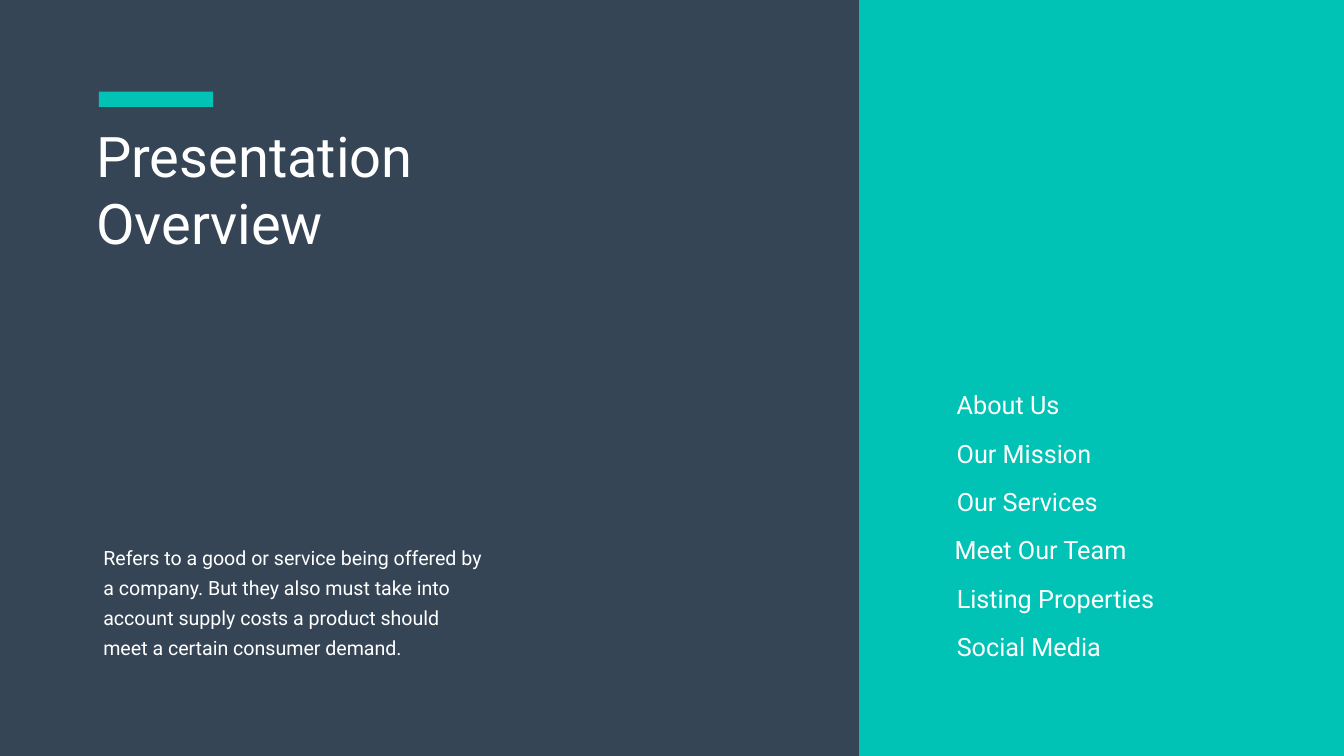
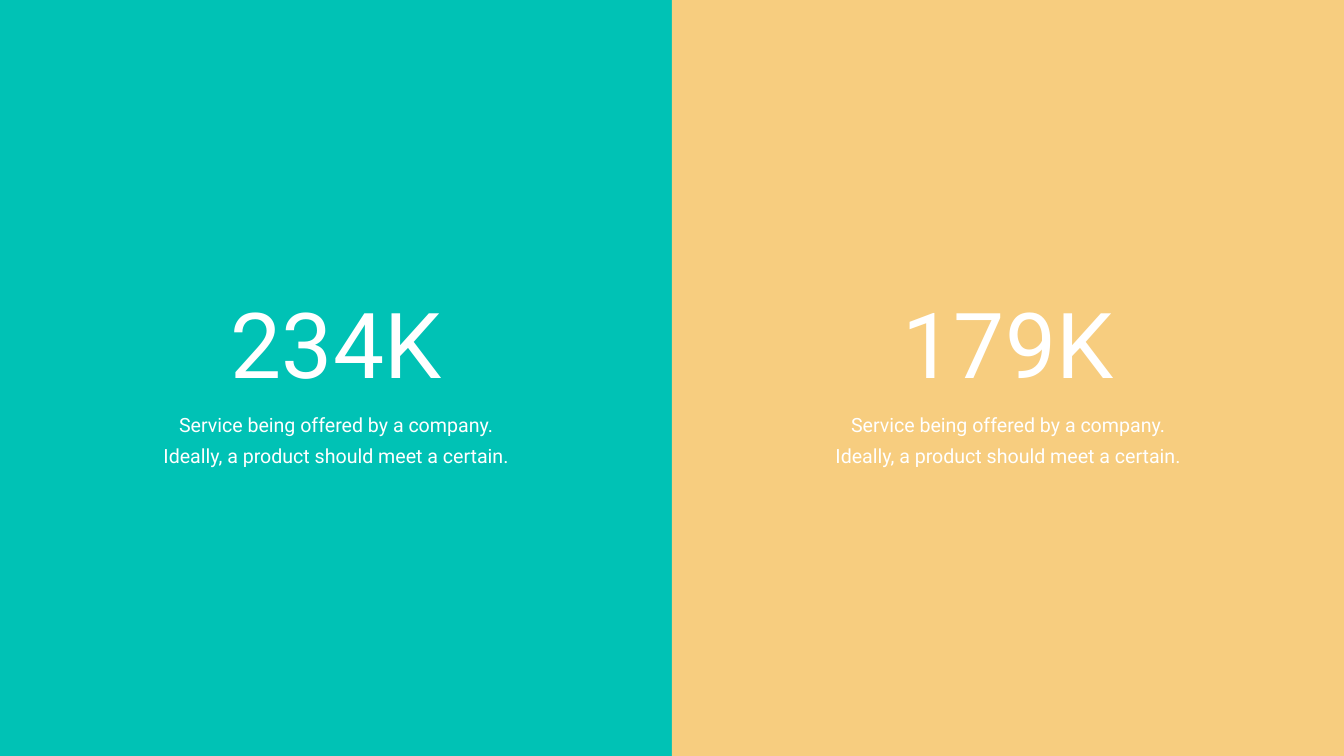
from pptx import Presentation
from pptx.dml.color import RGBColor
from pptx.enum.shapes import MSO_SHAPE as Shape
from pptx.enum.text import MSO_AUTO_SIZE as AutoSize, PP_ALIGN as Align
from pptx.util import Pt

WIDTH, HEIGHT = 1919.52, 1080
HALF = WIDTH / 2
PANEL_LEFT = 1227.6
FONT = "Roboto"
NAVY, TEAL, SAND, WHITE = "364556", "00C2B5", "F7CD7F", "FFFFFF"

TITLE = {"size": 80}
TOPIC = {"size": 36}
NUMBER = {"size": 130, "alignment": Align.CENTER}
BODY = {"size": 28, "line_spacing": Pt(43), "insets": (17.28, 8.64)}
CAPTION = {**BODY, "alignment": Align.CENTER}

TOPICS = ["About Us", "Our Mission", "Our Services",
          "Meet Our Team", "Listing Properties", "Social Media"]
TOPIC_NUDGES = {"Meet Our Team": -2.88}
TOPIC_WIDTHS = {"About Us": 432, "Our Mission": 432}
OVERVIEW = ("Refers to a good or service being offered by a company. "
            "But they also must take into account supply costs "
            "a product should meet a certain consumer demand.")
SERVICE = ("Service being offered by a company. "
           "Ideally, a product should meet a certain.")


def paint(fill, color):
    """Make a fill solid in the given hex colour."""
    fill.solid()
    fill.fore_color.rgb = RGBColor.from_string(color)


def add_slide(presentation):
    """Add a blank slide with a white background."""
    slide = presentation.slides.add_slide(presentation.slide_layouts[6])
    paint(slide.background.fill, WHITE)
    return slide


def add_block(shapes, left, top, width, height, color):
    """Add a plain rectangle without outline or shadow."""
    shape = shapes.add_shape(
        Shape.RECTANGLE, Pt(left), Pt(top), Pt(width), Pt(height))
    shape.shadow.inherit = False
    shape.line.fill.background()
    paint(shape.fill, color)


def add_text(shapes, left, top, width, height, text, style):
    """Add a wrapped white text box in the given style."""
    shape = shapes.add_textbox(Pt(left), Pt(top), Pt(width), Pt(height))
    frame = shape.text_frame
    across, down = style.get("insets", (7.2, 3.6))
    frame_format = {
        "word_wrap": True, "auto_size": AutoSize.SHAPE_TO_FIT_TEXT,
        "margin_left": Pt(across), "margin_right": Pt(across),
        "margin_top": Pt(down), "margin_bottom": Pt(down)}
    for name, value in frame_format.items():
        setattr(frame, name, value)
    paragraph = frame.paragraphs[0]
    for name in ("alignment", "line_spacing"):
        if name in style:
            setattr(paragraph, name, style[name])
    run = paragraph.add_run()
    run.text = text
    for name, value in {"name": FONT, "size": Pt(style["size"])}.items():
        setattr(run.font, name, value)
    paint(run.font.fill, WHITE)


def add_heading(slide, text):
    """Add a title under its short accent bar."""
    shapes = slide.shapes.add_group_shape().shapes
    add_text(shapes, 130.32, 169.92, 561.6, 200.88, text, TITLE)
    add_block(shapes, 141.12, 131.04, 163.44, 21.6, TEAL)


def add_topics(slide, topics):
    """Add the list of topics as evenly spaced lines."""
    shapes = slide.shapes.add_group_shape().shapes
    for index, topic in enumerate(topics):
        left = 1359.36 + TOPIC_NUDGES.get(topic, 0)
        add_text(shapes, left, 552.96 + index * 69.12,
                 TOPIC_WIDTHS.get(topic, 361.44), 51.12, topic, TOPIC)


def add_statistic(slide, left, number, caption):
    """Add a large number and its caption, centred in a half."""
    shapes = slide.shapes.add_group_shape().shapes
    for top, width, height, text, style in (
            (407.52, 391.68, 164.88, number, NUMBER),
            (572.4, 542.16, 100.08, caption, CAPTION)):
        add_text(shapes, left + (HALF - width) / 2, top,
                 width, height, text, style)


def build_overview(presentation):
    """Build the overview slide with its topic panel."""
    slide = add_slide(presentation)
    add_block(slide.shapes, 0, 0, PANEL_LEFT, HEIGHT, NAVY)
    add_block(slide.shapes, PANEL_LEFT, 0, WIDTH - PANEL_LEFT, HEIGHT, TEAL)
    add_heading(slide, "Presentation Overview")
    add_topics(slide, TOPICS)
    add_text(slide.shapes, 130.32, 761.76, 583.2, 187.2, OVERVIEW, BODY)


def build_statistics(presentation):
    """Build the slide with one statistic in each half."""
    slide = add_slide(presentation)
    halves = [(0, TEAL, "234K"), (HALF, SAND, "179K")]
    for left, color, _ in halves:
        add_block(slide.shapes, left, 0, HALF, HEIGHT, color)
    for left, _, number in halves:
        add_statistic(slide, left, number, SERVICE)


def main():
    """Create and save the presentation."""
    presentation = Presentation()
    presentation.slide_width = Pt(WIDTH)
    presentation.slide_height = Pt(HEIGHT)
    build_overview(presentation)
    build_statistics(presentation)
    presentation.save("out.pptx")


if __name__ == "__main__":
    main()
